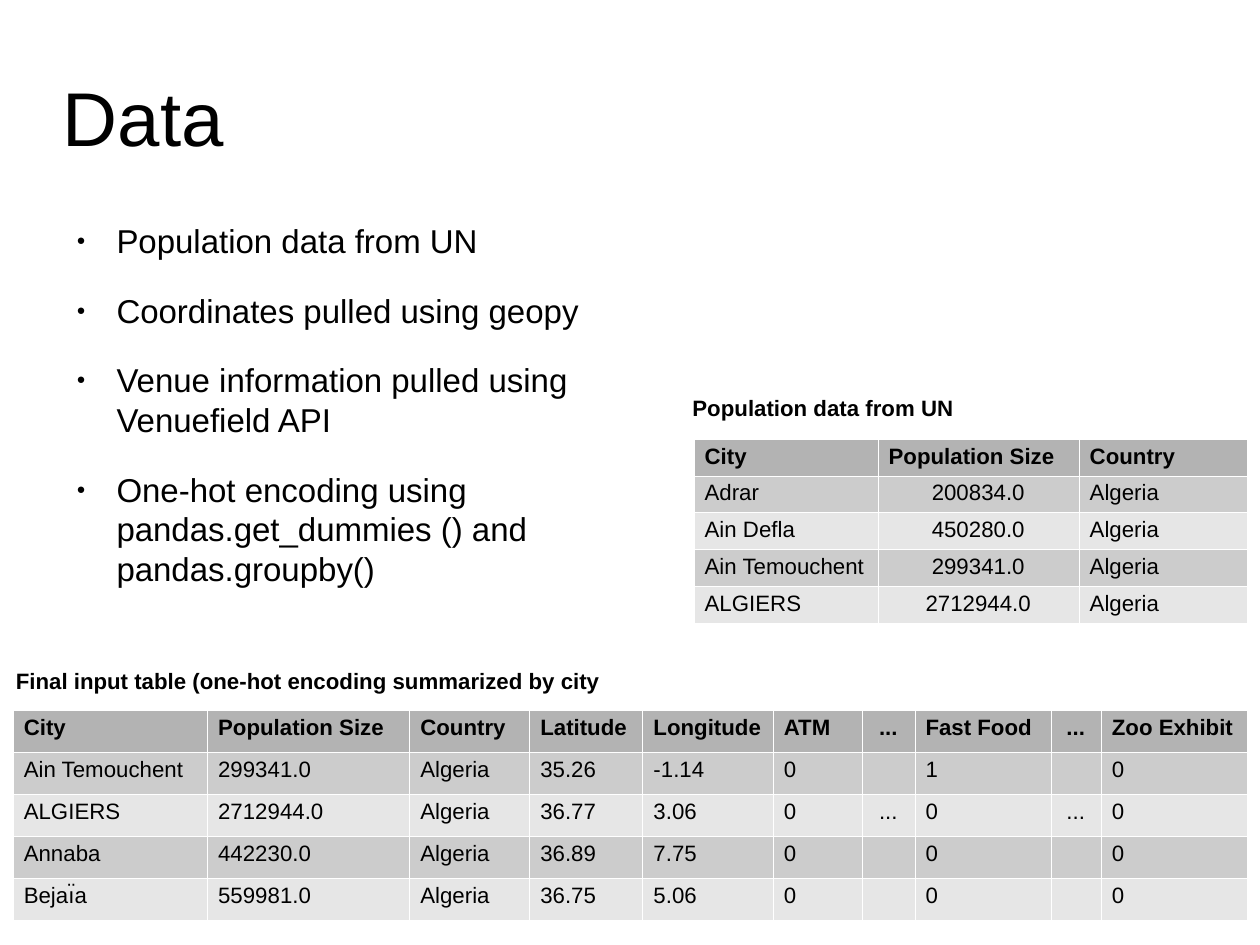
import lxml.etree
import pptx
import pptx.dml.color
import pptx.enum.text
import pptx.oxml.ns
import pptx.util

Pt = pptx.util.Pt
qn = pptx.oxml.ns.qn
RGBColor = pptx.dml.color.RGBColor

BLACK = RGBColor(0x00, 0x00, 0x00)
WHITE = RGBColor(0xFF, 0xFF, 0xFF)
HEADER_GREY = RGBColor(0xB3, 0xB3, 0xB3)
BAND_GREYS = (RGBColor(0xCC, 0xCC, 0xCC), RGBColor(0xE6, 0xE6, 0xE6))

FONT = "Arial"
TABLE_SIZE = 14
ELLIPSIS = "..."

STEPS = [
    "Population data from UN",
    "Coordinates pulled using geopy",
    "Venue information pulled using Venuefield API",
    "One-hot encoding using pandas.get_dummies () and pandas.groupby()",
]

POPULATION_WIDTHS = [115.9, 126.7, 105.8]
POPULATION_ROWS = [
    ["City", "Population Size", "Country"],
    ["Adrar", "200834.0", "Algeria"],
    ["Ain Defla", "450280.0", "Algeria"],
    ["Ain Temouchent", "299341.0", "Algeria"],
    ["ALGIERS", "2712944.0", "Algeria"],
]

INPUT_WIDTHS = [122.4, 127.4, 75.6, 71.3, 82.1, 56.2, 33.1, 85.7, 31.7, 92.2]
INPUT_ROWS = [
    ["City", "Population Size", "Country", "Latitude", "Longitude",
     "ATM", ELLIPSIS, "Fast Food", ELLIPSIS, "Zoo Exhibit"],
    ["Ain Temouchent", "299341.0", "Algeria", "35.26", "-1.14",
     "0", "", "1", "", "0"],
    ["ALGIERS", "2712944.0", "Algeria", "36.77", "3.06",
     "0", ELLIPSIS, "0", ELLIPSIS, "0"],
    ["Annaba", "442230.0", "Algeria", "36.89", "7.75",
     "0", "", "0", "", "0"],
    ["Bejaı̈a", "559981.0", "Algeria", "36.75", "5.06",
     "0", "", "0", "", "0"],
]


def set_font(paragraph, size, bold=False):
    paragraph.font.name = FONT
    paragraph.font.size = Pt(size)
    paragraph.font.bold = bold
    paragraph.font.color.rgb = BLACK


def set_insets(holder, inset_x, inset_y):
    holder.margin_left = holder.margin_right = Pt(inset_x)
    holder.margin_top = holder.margin_bottom = Pt(inset_y)


def add_text_frame(slide, left, top, width, height, inset_x=0, inset_y=0):
    box = slide.shapes.add_textbox(Pt(left), Pt(top), Pt(width), Pt(height))
    frame = box.text_frame
    frame.word_wrap = True
    set_insets(frame, inset_x, inset_y)
    return frame


def add_title(slide, text):
    frame = add_text_frame(slide, 39.6, 23.2, 714.2, 99.4)
    frame.vertical_anchor = pptx.enum.text.MSO_ANCHOR.MIDDLE
    frame.text = text
    set_font(frame.paragraphs[0], 48)


def add_bullet(paragraph):
    properties = paragraph._p.get_or_add_pPr()
    properties.set("marL", str(Pt(33.8)))
    properties.set("indent", str(Pt(-25.2)))
    colour = lxml.etree.SubElement(properties, qn("a:buClr"))
    lxml.etree.SubElement(colour, qn("a:srgbClr"), val=str(BLACK))
    lxml.etree.SubElement(properties, qn("a:buSzPct"), val="45000")
    lxml.etree.SubElement(properties, qn("a:buFont"), typeface=FONT)
    lxml.etree.SubElement(properties, qn("a:buChar"), char="●")


def add_steps(slide, steps):
    frame = add_text_frame(slide, 39.6, 139, 392.4, 257)
    for index, step in enumerate(steps):
        paragraph = frame.paragraphs[0] if index == 0 else frame.add_paragraph()
        paragraph.text = step
        add_bullet(paragraph)
        if index:
            paragraph.space_before = Pt(18.9)
        set_font(paragraph, 20.8)


def add_caption(slide, text, left, top, width, height):
    frame = add_text_frame(slide, left, top, width, height, 7.2, 3.6)
    frame.text = text
    set_font(frame.paragraphs[0], TABLE_SIZE, bold=True)


def add_borders(cell):
    properties = cell._tc.get_or_add_tcPr()
    for position, side in enumerate(("lnL", "lnR", "lnT", "lnB")):
        line = lxml.etree.Element(qn("a:" + side), w=str(Pt(0.06)))
        fill = lxml.etree.SubElement(line, qn("a:solidFill"))
        lxml.etree.SubElement(fill, qn("a:srgbClr"), val=str(WHITE))
        properties.insert(position, line)


def fill_cell(cell, text, colour, bold, centred):
    cell.fill.solid()
    cell.fill.fore_color.rgb = colour
    set_insets(cell, 6.9, 3.2)
    add_borders(cell)
    paragraph = cell.text_frame.paragraphs[0]
    paragraph.text = text
    set_font(paragraph, TABLE_SIZE, bold)
    if centred:
        paragraph.alignment = pptx.enum.text.PP_ALIGN.CENTER
    if not text:
        lxml.etree.SubElement(
            paragraph._p, qn("a:endParaRPr"), sz=str(TABLE_SIZE * 100))


def add_data_table(slide, rows, widths, left, top, row_height, centred_column=None):
    table = slide.shapes.add_table(
        len(rows), len(widths), Pt(left), Pt(top),
        Pt(sum(widths)), Pt(row_height * len(rows))).table
    table.horz_banding = False
    for column, width in zip(table.columns, widths):
        column.width = Pt(width)
    for row_index, values in enumerate(rows):
        table.rows[row_index].height = Pt(row_height)
        header = row_index == 0
        colour = HEADER_GREY if header else BAND_GREYS[(row_index - 1) % 2]
        for column_index, value in enumerate(values):
            centred = value == ELLIPSIS or (
                not header and column_index == centred_column)
            fill_cell(table.cell(row_index, column_index),
                      value, colour, header, centred)


def main():
    presentation = pptx.Presentation()
    presentation.slide_width = Pt(793.7)
    presentation.slide_height = Pt(595.28)
    slide = presentation.slides.add_slide(presentation.slide_layouts[6])
    add_title(slide, "Data")
    add_steps(slide, STEPS)
    add_data_table(slide, POPULATION_ROWS, POPULATION_WIDTHS,
                   437, 276.5, 23.1, centred_column=1)
    add_data_table(slide, INPUT_ROWS, INPUT_WIDTHS, 8.1, 447.1, 26.5)
    add_caption(slide, "Population data from UN", 429.1, 244.8, 381.6, 23)
    add_caption(slide, "Final input table (one-hot encoding summarized by city",
                2.9, 417, 417.6, 38.9)
    presentation.save("out.pptx")


if __name__ == "__main__":
    main()
